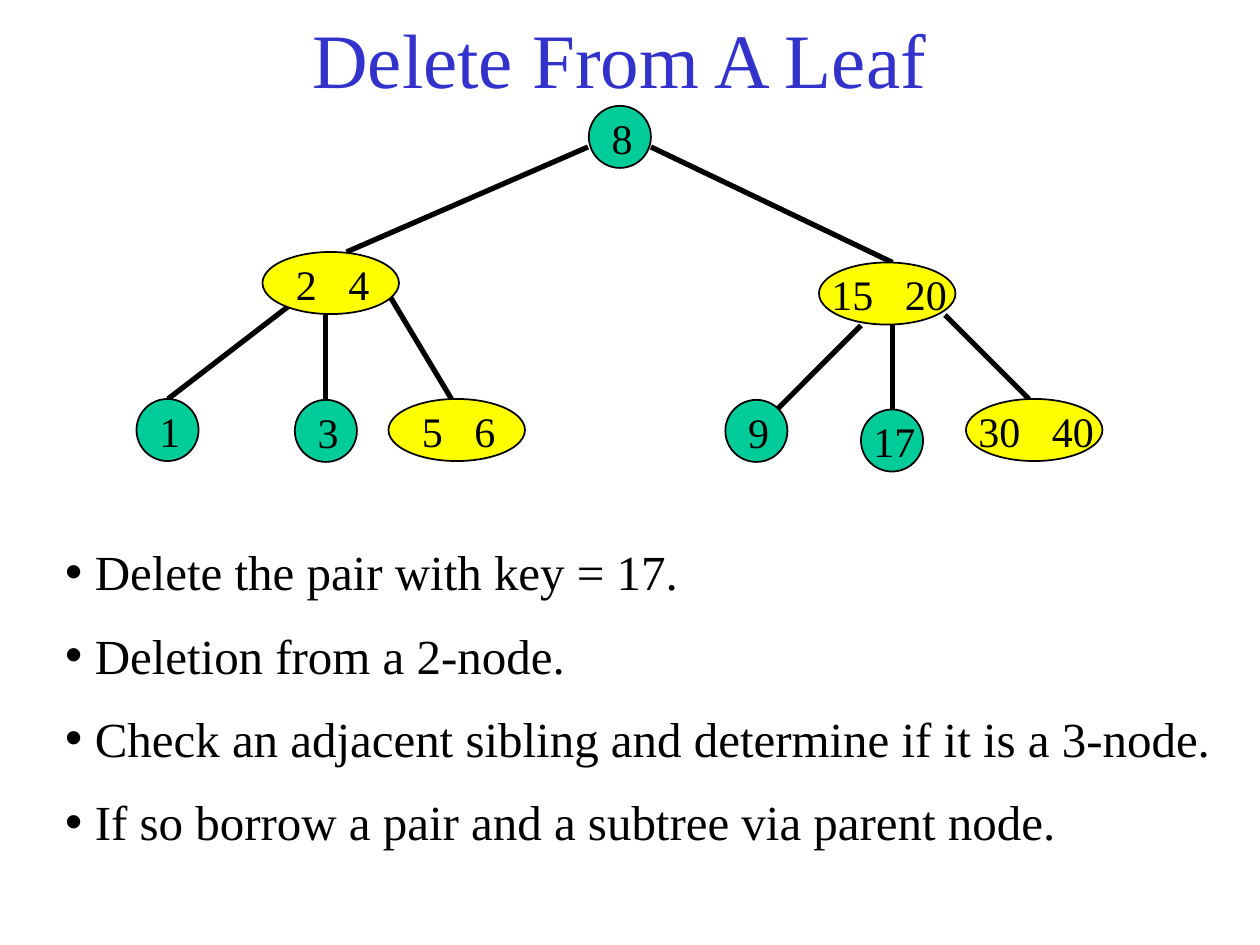
from lxml.etree import SubElement
from pptx import Presentation
from pptx.dml.color import RGBColor
from pptx.enum.shapes import MSO_CONNECTOR as Connector, MSO_SHAPE as Shape
from pptx.enum.text import MSO_ANCHOR as Anchor, MSO_AUTO_SIZE as AutoSize, PP_ALIGN as Align
from pptx.oxml.ns import qn
from pptx.util import Pt

COLORS = {"title": "3333CC", "ink": "000000", "two_node": "00CC99", "three_node": "FFFF00"}
FONT = "Times New Roman"
NODE_HEIGHT = 35.5
NODE_WIDTHS = {1: 35.5, 2: 78}
KEY_SIZE = 24
DIGIT_WIDTH = KEY_SIZE / 2
KEY_GAP = 18
BULLET_INDENT = 17

NODES = [
    (258.5, 0.5, ["8"]),
    (72, 84, ["2", "4"]),
    (390, 90, ["15", "20"]),
    (0, 168, ["1"]),
    (90.5, 168.5, ["3"]),
    (144, 168, ["5", "6"]),
    (336.5, 168.5, ["9"]),
    (414, 174, ["17"]),
    (474, 168, ["30", "40"]),
]
EDGES = [
    (258, 24, 120, 84),
    (294, 24, 432, 90),
    (96, 108, 18, 168),
    (108, 120, 108, 168),
    (144, 108, 180, 168),
    (414, 126, 366, 174),
    (432, 126, 432, 174),
    (462, 120, 510, 168),
]
STEPS = [
    "Delete the pair with key = 17.",
    "Deletion from a 2-node.",
    "Check an adjacent sibling and determine if it is a 3-node.",
    "If so borrow a pair and a subtree via parent node.",
]


def color(name):
    return RGBColor.from_string(COLORS[name])


def set_font(para, size, name="ink"):
    para.font.name = FONT
    para.font.size = Pt(size)
    para.font.color.rgb = color(name)


def place(shape, left, top, width, height):
    shape.left, shape.top = Pt(left), Pt(top)
    shape.width, shape.height = Pt(width), Pt(height)


def add_title(page, left, top, width, height):
    title = page.shapes.title
    place(title, left, top, width, height)
    frame = title.text_frame
    frame.auto_size = AutoSize.NONE
    frame.vertical_anchor = Anchor.MIDDLE
    frame.text = "Delete From A Leaf"
    para = frame.paragraphs[0]
    para.alignment = Align.CENTER
    set_font(para, 44, "title")


def add_edge(page, start_x, start_y, end_x, end_y):
    edge = page.shapes.add_connector(
        Connector.STRAIGHT, Pt(start_x), Pt(start_y), Pt(end_x), Pt(end_y))
    edge.line.color.rgb = color("ink")
    edge.line.width = Pt(3)
    SubElement(edge._element.spPr, qn("a:effectLst"))


def add_node(page, left, top, keys):
    width = NODE_WIDTHS[len(keys)]
    node = page.shapes.add_shape(
        Shape.OVAL, Pt(left), Pt(top), Pt(width), Pt(NODE_HEIGHT))
    node.shadow.inherit = False
    node.fill.solid()
    node.fill.fore_color.rgb = color("two_node" if len(keys) == 1 else "three_node")
    node.line.color.rgb = color("ink")
    node.line.width = Pt(1)

    digits = len(keys[0])
    shift = 6 * len(keys) if digits == 1 else 0
    label = page.shapes.add_textbox(
        Pt(left + shift), Pt(top), Pt(width + 18 - shift), Pt(36))
    frame = label.text_frame
    frame.word_wrap = True
    frame.text = "\t".join(keys)
    para = frame.paragraphs[0]
    if len(keys) > 1:
        tabs = SubElement(para._p.get_or_add_pPr(), qn("a:tabLst"))
        stop = Pt(digits * DIGIT_WIDTH + KEY_GAP)
        SubElement(tabs, qn("a:tab"), pos=str(int(stop)), algn="l")
    set_font(para, KEY_SIZE)


def add_tree(page, left, top):
    for start_x, start_y, end_x, end_y in EDGES:
        add_edge(page, left + start_x, top + start_y, left + end_x, top + end_y)
    for x, y, keys in NODES:
        add_node(page, left + x, top + y, keys)


def add_steps(page, left, top, width, height):
    body = page.placeholders[1]
    place(body, left, top, width, height)
    frame = body.text_frame
    frame.auto_size = AutoSize.NONE
    frame.vertical_anchor = Anchor.TOP
    frame.text = "\n".join(STEPS)
    for index, para in enumerate(frame.paragraphs):
        props = para._p.get_or_add_pPr()
        props.set("marL", str(Pt(BULLET_INDENT)))
        props.set("indent", str(-Pt(BULLET_INDENT)))
        SubElement(props, qn("a:buChar"), char="•")
        para.space_before = Pt(14 if index else 0)
        set_font(para, 28)


def main():
    deck = Presentation()
    deck.slide_width, deck.slide_height = Pt(720), Pt(540)
    page = deck.slides.add_slide(deck.slide_layouts[1])
    add_title(page, 48, 0, 612, 66)
    add_steps(page, 30, 306, 690, 192)
    add_tree(page, 78, 60)
    deck.save("out.pptx")


if __name__ == "__main__":
    main()
